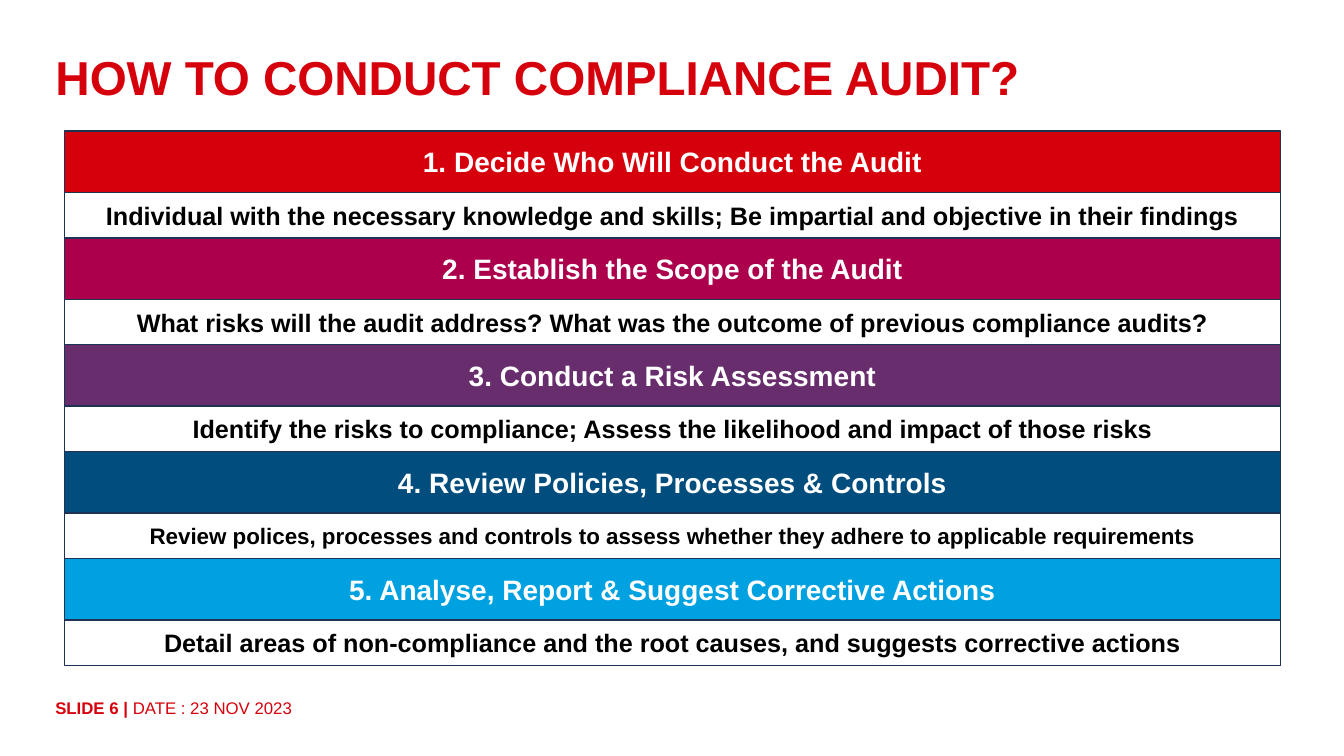
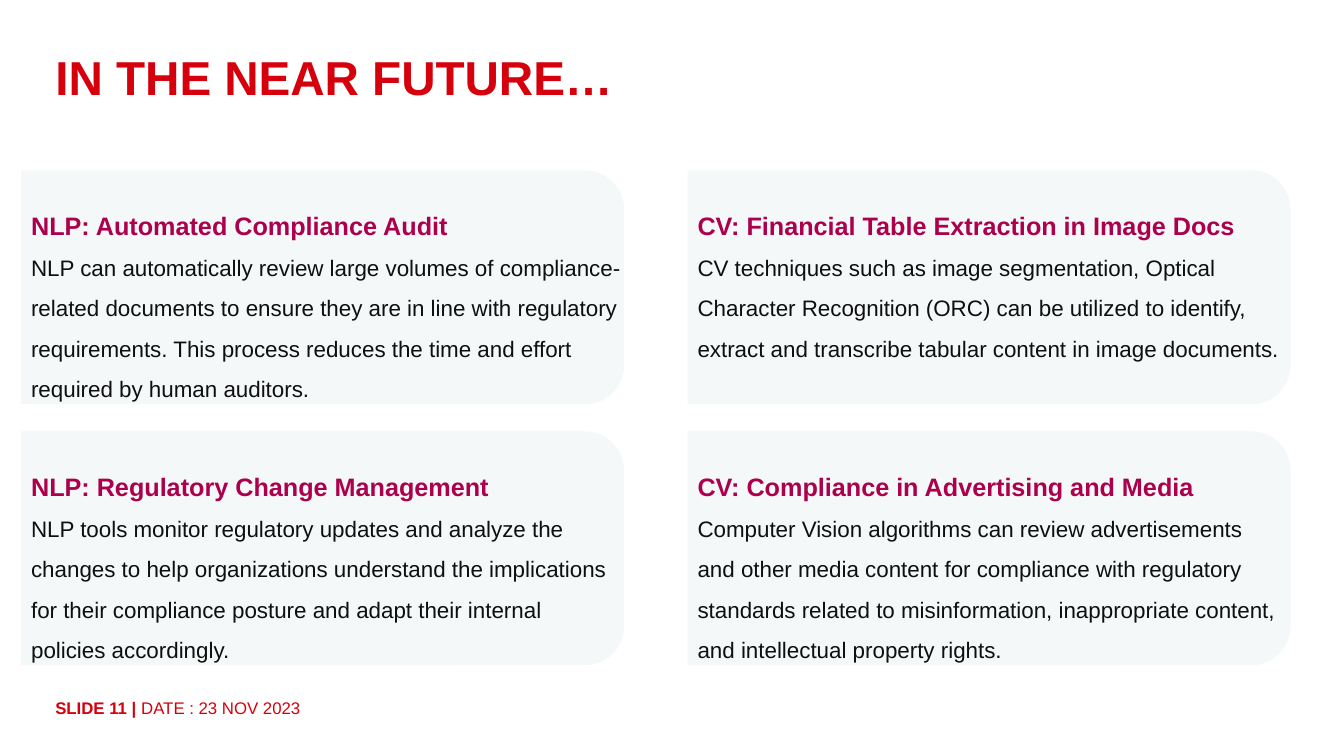
from pptx import Presentation
from pptx.dml.color import RGBColor as Rgb
from pptx.enum.shapes import MSO_SHAPE as Shape
from pptx.enum.text import MSO_ANCHOR as Anchor, MSO_AUTO_SIZE as Fit, PP_ALIGN as Align
from pptx.util import Inches, Pt

FONT = "Arial"
HEX = {
    "red": "D6000D", "berry": "AC004D", "plum": "672D6C", "navy": "004D7E",
    "sky": "00A1E1", "edge": "1E3256", "card": "F5F8F8", "ink": "0F0F0F",
    "black": "000000", "white": "FFFFFF",
}
DATE = "DATE : 23 NOV 2023"

STEPS = [
    ("red", "1. Decide Who Will Conduct the Audit", 18,
     "Individual with the necessary knowledge and skills; Be impartial and objective in their findings"),
    ("berry", "2. Establish the Scope of the Audit", 18,
     "What risks will the audit address? What was the outcome of previous compliance audits?"),
    ("plum", "3. Conduct a Risk Assessment", 18,
     "Identify the risks to compliance; Assess the likelihood and impact of those risks"),
    ("navy", "4. Review Policies, Processes & Controls", 16,
     "Review polices, processes and controls to assess whether they adhere to applicable requirements"),
    ("sky", "5. Analyse, Report & Suggest Corrective Actions", 18,
     "Detail areas of non-compliance and the root causes, and suggests corrective actions"),
]

CARDS = [
    ("NLP: Automated Compliance Audit", 6.31,
     "NLP can automatically review large volumes of compliance-related documents to ensure they are "
     "in line with regulatory requirements. This process reduces the time and effort required by "
     "human auditors."),
    ("NLP: Regulatory Change Management", 5.98,
     "NLP tools monitor regulatory updates and analyze the changes to help organizations understand "
     "the implications for their compliance posture and adapt their internal policies accordingly."),
    ("CV: Financial Table Extraction in Image Docs", 5.98,
     "CV techniques such as image segmentation, Optical Character Recognition (ORC) can be utilized "
     "to identify, extract and transcribe tabular content in image documents."),
    ("CV: Compliance in Advertising and Media", 5.98,
     "Computer Vision algorithms can review advertisements and other media content for compliance "
     "with regulatory standards related to misinformation, inappropriate content, and intellectual "
     "property rights."),
]


def color(name):
    return Rgb.from_string(HEX[name])


def box(*sizes):
    return [Inches(size) for size in sizes]


def style(run, size, tone, bold=False):
    font = run.font
    font.name, font.size, font.bold = FONT, Pt(size), bold
    font.color.rgb = color(tone)


def add_page(deck, title, number):
    slide = deck.slides.add_slide(deck.slide_layouts[5])
    head = slide.shapes.title
    head.left, head.top, head.width, head.height = box(0.45, 0.43, 11.22, 0.67)
    frame = head.text_frame
    frame.text = title
    frame.auto_size = Fit.NONE
    frame.vertical_anchor = Anchor.TOP
    para = frame.paragraphs[0]
    para.alignment = Align.LEFT
    para.space_after = Pt(4)
    style(para.runs[0], 34, "red", True)

    foot = slide.shapes.add_textbox(*box(0.45, 6.87, 5.73, 0.3)).text_frame
    foot.word_wrap = True
    para = foot.paragraphs[0]
    for text, bold in ((f"SLIDE {number} | ", True), (DATE, False)):
        run = para.add_run()
        run.text = text
        style(run, 12, "red", bold)
    return slide


def add_bar(slide, top, high, text, size, tone, fill=None):
    bar = slide.shapes.add_shape(Shape.RECTANGLE, *box(0.64, top, 12.06, high))
    bar.shadow.inherit = False
    if fill:
        bar.fill.solid()
        bar.fill.fore_color.rgb = color(fill)
    else:
        bar.fill.background()
    bar.line.color.rgb = color("edge")
    bar.line.width = Pt(1)
    frame = bar.text_frame
    frame.text = text
    frame.vertical_anchor = Anchor.MIDDLE
    para = frame.paragraphs[0]
    para.alignment = Align.CENTER
    style(para.runs[0], size, tone, True)


def add_card(slide, left, top, head, wide, body):
    long, high = 5.98, 2.32
    group = slide.shapes.add_group_shape()
    shift = (long - high) / 2
    panel = group.shapes.add_shape(
        Shape.ROUND_2_SAME_RECTANGLE, *box(left + shift, top - shift, high, long))
    panel.rotation = 90
    panel.shadow.inherit = False
    panel.fill.solid()
    panel.fill.fore_color.rgb = color("card")
    panel.line.fill.background()

    frame = group.shapes.add_textbox(*box(left, top + 0.2, wide, 2.12)).text_frame
    frame.word_wrap = True
    frame.text = f"{head}\n{body}"
    looks = ((18, "berry", True), (16, "ink", False))
    for para, look in zip(frame.paragraphs, looks):
        para.line_spacing = 1.5
        style(para.runs[0], *look)


def main():
    deck = Presentation()
    deck.slide_width, deck.slide_height = box(13.33, 7.5)

    audit = add_page(deck, "HOW TO CONDUCT COMPLIANCE AUDIT?", 6)
    band, row = 0.61, 0.45
    for i, (fill, head, size, text) in enumerate(STEPS):
        top = 1.3 + i * (band + row)
        add_bar(audit, top, band, head, 20, "white", fill)
        add_bar(audit, top + band, row, text, size, "black")

    future = add_page(deck, "IN THE NEAR FUTURE…", 11)
    for i, card in enumerate(CARDS):
        col, line = divmod(i, 2)
        add_card(future, 0.21 + col * 6.61, 1.69 + line * 2.59, *card)

    deck.save("out.pptx")


if __name__ == "__main__":
    main()
